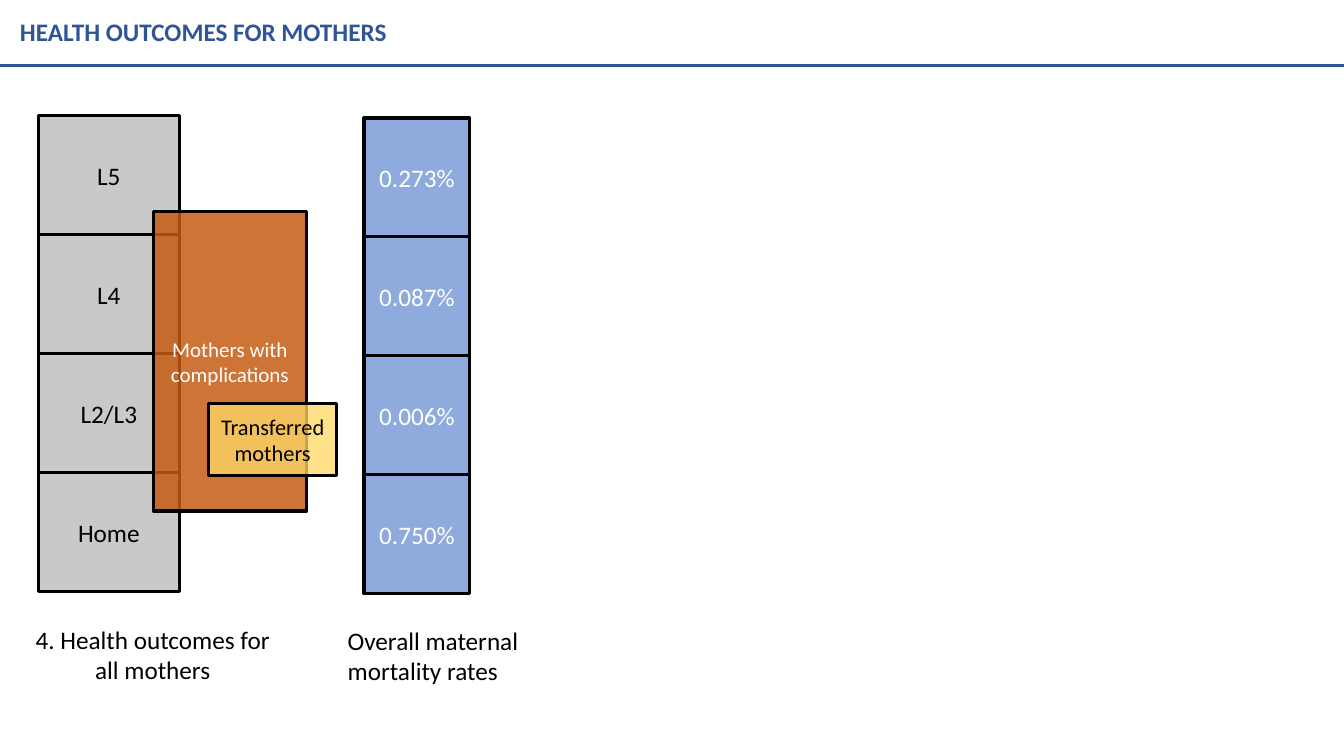
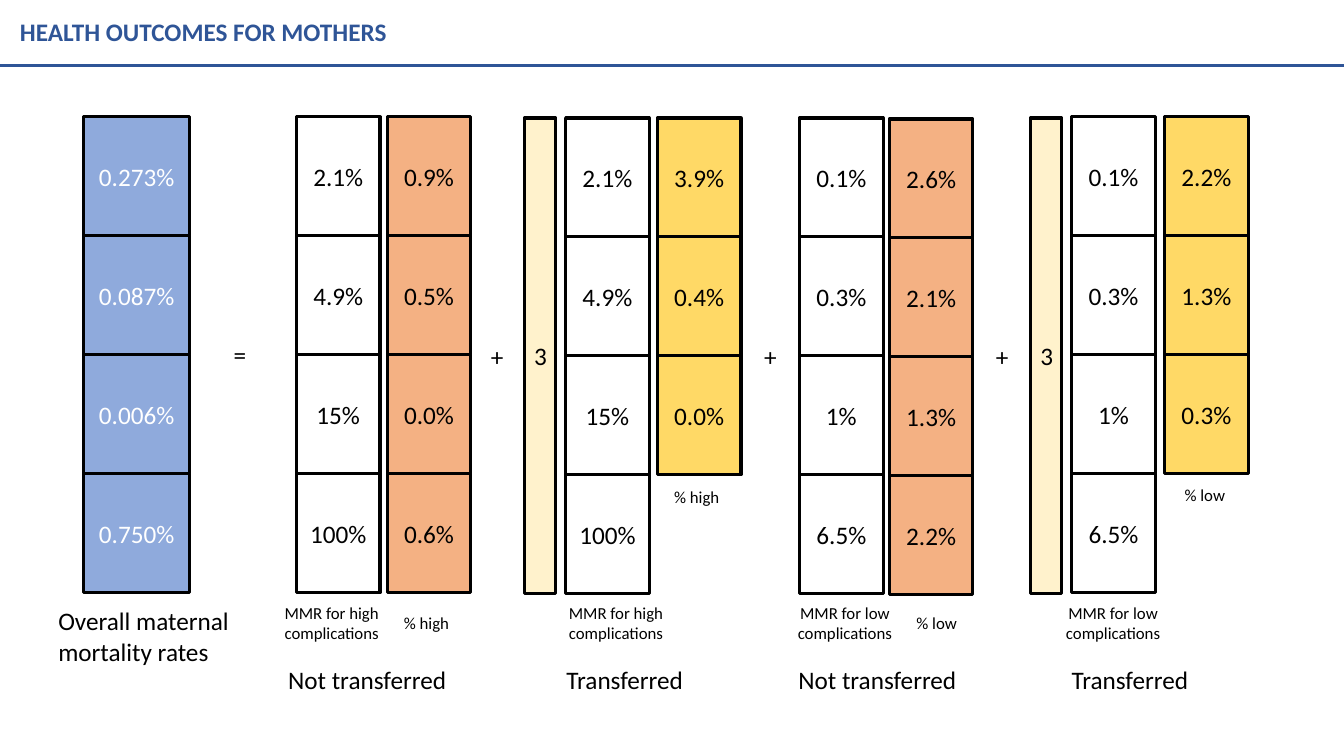
import pptx
import pptx.dml.color
import pptx.enum.shapes
import pptx.enum.text
import pptx.oxml.ns
import pptx.util
from lxml import etree

Inches = pptx.util.Inches
Pt = pptx.util.Pt
RGB = pptx.dml.color.RGBColor.from_string
ALIGN = pptx.enum.text.PP_ALIGN
ANCHOR = pptx.enum.text.MSO_ANCHOR
AUTO = pptx.enum.text.MSO_AUTO_SIZE
qn = pptx.oxml.ns.qn

THEME = {
    "font": "Calibri", "line": 2.25,
    "body": 18, "transfer": 16, "complication": 15, "note": 12,
    "title": "2F5597", "black": "000000", "white": "FFFFFF",
    "level": "C9C9C9", "overall": "8FAADC", "complications": "C55A11",
    "share": "F4B183", "transferred": "FFD966", "factor": "FFF2CC",
}
ROW_H = 1.18
RATE_W = 0.83
FACTOR_W = 0.31
OVERALL = ["0.273%", "0.087%", "0.006%", "0.750%"]
OVERALL_W = 1.05


def add_text(s, text, x, y, w, h, fill=None, alpha=None, color="black",
             size="body", bold=False, align=ALIGN.CENTER, wrap=True):
    """Add a text box, or an outlined rectangle when a fill is named."""
    box = [Inches(v) for v in (x, y, w, h)]
    if fill:
        sp = s.shapes.add_shape(pptx.enum.shapes.MSO_SHAPE.RECTANGLE, *box)
        sp.shadow.inherit = False
        sp.fill.solid()
        sp.fill.fore_color.rgb = RGB(THEME[fill])
        sp.line.color.rgb = RGB(THEME["black"])
        sp.line.width = Pt(THEME["line"])
        if alpha:
            clr = sp.fill._xPr.find(qn("a:solidFill"))[0]
            etree.SubElement(clr, qn("a:alpha"), val=str(alpha * 1000))
    else:
        sp = s.shapes.add_textbox(*box)
    tf = sp.text_frame
    frame = {"word_wrap": wrap,
             "auto_size": AUTO.NONE if fill else AUTO.SHAPE_TO_FIT_TEXT,
             "vertical_anchor": ANCHOR.MIDDLE if fill else ANCHOR.TOP}
    for name, value in frame.items():
        setattr(tf, name, value)
    p = tf.paragraphs[0]
    p.alignment = align
    r = p.add_run()
    r.text = text
    font = {"name": THEME["font"], "size": Pt(THEME[size]), "bold": bold}
    for name, value in font.items():
        setattr(r.font, name, value)
    r.font.color.rgb = RGB(THEME[color])


def add_column(s, values, x, y, w, fill, color="black"):
    for i, value in enumerate(values):
        add_text(s, value, x, y + i * ROW_H, w, ROW_H, fill, color=color)


prs = pptx.Presentation()
prs.slide_width, prs.slide_height = Inches(13.33), Inches(7.5)

# Shared header, and the overall rates: column left and top, caption left and top
for x, y, caption_x, caption_y in [(3.61, 1.17, 3.35, 6.15), (0.83, 1.16, 0.48, 5.96)]:
    s = prs.slides.add_slide(prs.slide_layouts[6])
    add_text(s, "HEALTH OUTCOMES FOR MOTHERS", 0.1, 0.11, 3.84, 0.4,
             color="title", bold=True, align=ALIGN.LEFT, wrap=False)
    rule = s.shapes.add_connector(pptx.enum.shapes.MSO_CONNECTOR.STRAIGHT,
                                  0, Inches(0.65), prs.slide_width, Inches(0.65))
    rule.line.color.rgb = RGB(THEME["title"])
    rule.line.width = Pt(THEME["line"])
    etree.SubElement(rule._element.spPr, qn("a:effectLst"))
    add_column(s, OVERALL, x, y, OVERALL_W, "overall", "white")
    add_text(s, "Overall maternal mortality rates", caption_x, caption_y, 2.37, 0.71,
             align=ALIGN.LEFT)

# Slide 1: levels of care and the groups of mothers across them
s = prs.slides[0]
add_text(s, "4. Health outcomes for all mothers", 0.15, 6.14, 2.73, 0.71)
add_column(s, ["L5", "L4", "L2/L3", "Home"], 0.38, 1.15, 1.4, "level")
add_text(s, "Mothers with complications", 1.52, 2.1, 1.52, 2.97, "complications", 84,
         color="white", size="complication")
add_text(s, "Transferred mothers", 2.07, 4, 1.27, 0.72, "transferred", 77, size="transfer")

# Slide 2: overall rate as a sum of four products
s = prs.slides[1]
HIGH = ["2.1%", "4.9%", "15%", "100%"]
LOW = ["0.1%", "0.3%", "1%", "6.5%"]

# Columns: values, left, top, fill
for values, x, y, fill in [
    (HIGH, 2.94, 1.16, "white"),
    (["0.9%", "0.5%", "0.0%", "0.6%"], 3.84, 1.16, "share"),
    (HIGH, 5.61, 1.17, "white"),
    (["3.9%", "0.4%", "0.0%"], 6.52, 1.17, "transferred"),
    (LOW, 7.93, 1.17, "white"),
    (["2.6%", "2.1%", "1.3%", "2.2%"], 8.82, 1.18, "share"),
    (LOW, 10.63, 1.16, "white"),
    (["2.2%", "1.3%", "0.3%"], 11.55, 1.16, "transferred"),
]:
    add_column(s, values, x, y, RATE_W, fill)

for x in (5.2, 10.22):
    add_text(s, "3", x, 1.17, FACTOR_W, 4 * ROW_H, "factor")

add_text(s, "=", 2.22, 3.32, 0.33, 0.4, align=ALIGN.LEFT, wrap=False)
for x in (4.77, 7.48, 9.78):
    add_text(s, "+", x, 3.34, 0.31, 0.4, align=ALIGN.LEFT)

# Terms: risk, group, group left, rate label left, share label left and top
for risk, group, group_x, rate_x, share_x, share_y in [
    ("high", "Not transferred", 2.76, 2.72, 3.74, 6.03),
    ("high", "Transferred", 5.52, 5.54, 6.42, 4.78),
    ("low", "Not transferred", 7.82, 7.81, 8.8, 6.03),
    ("low", "Transferred", 10.53, 10.47, 11.46, 4.76),
]:
    group_w = 1.79 if group == "Not transferred" else 1.37
    add_text(s, group, group_x, 6.54, group_w, 0.4, align=ALIGN.LEFT, wrap=False)
    add_text(s, f"MMR for {risk} complications", rate_x, 5.93, 1.14, 0.5, size="note")
    add_text(s, f"% {risk}", share_x, share_y, 0.98, 0.3, size="note")

prs.save("out.pptx")
